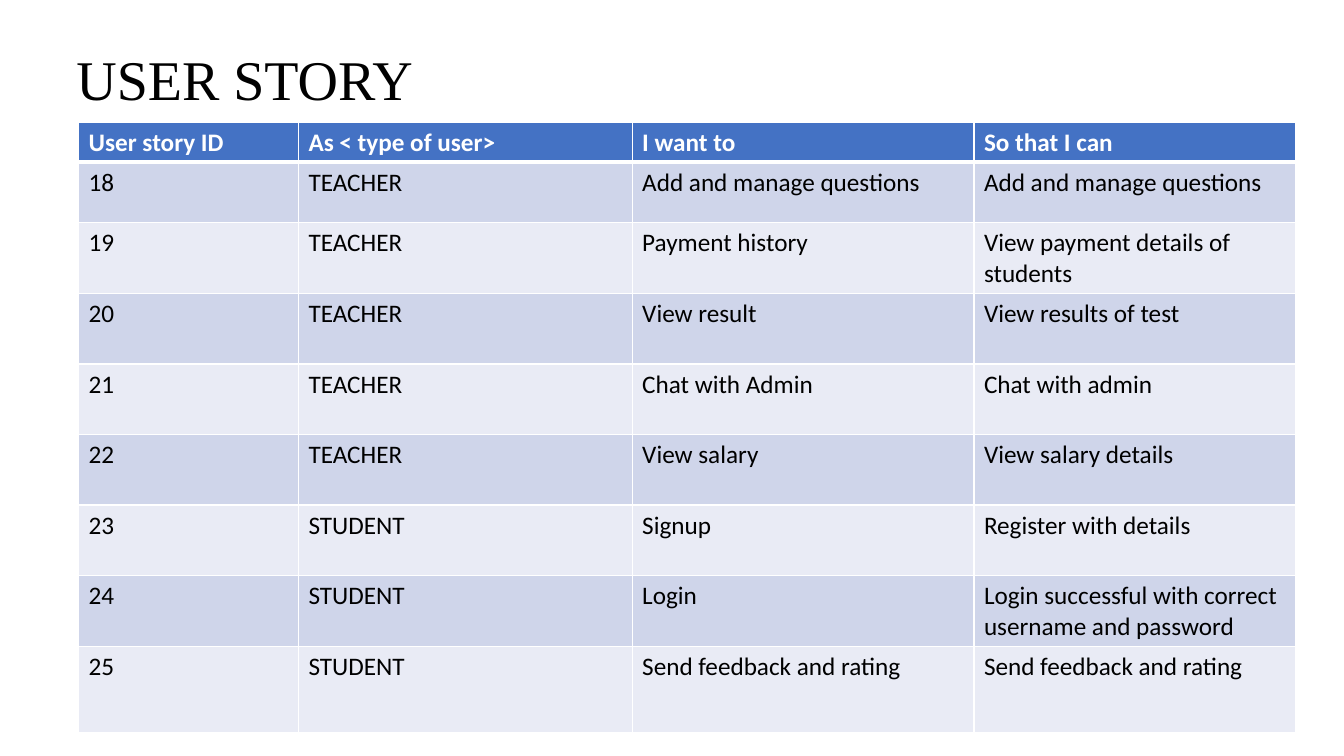
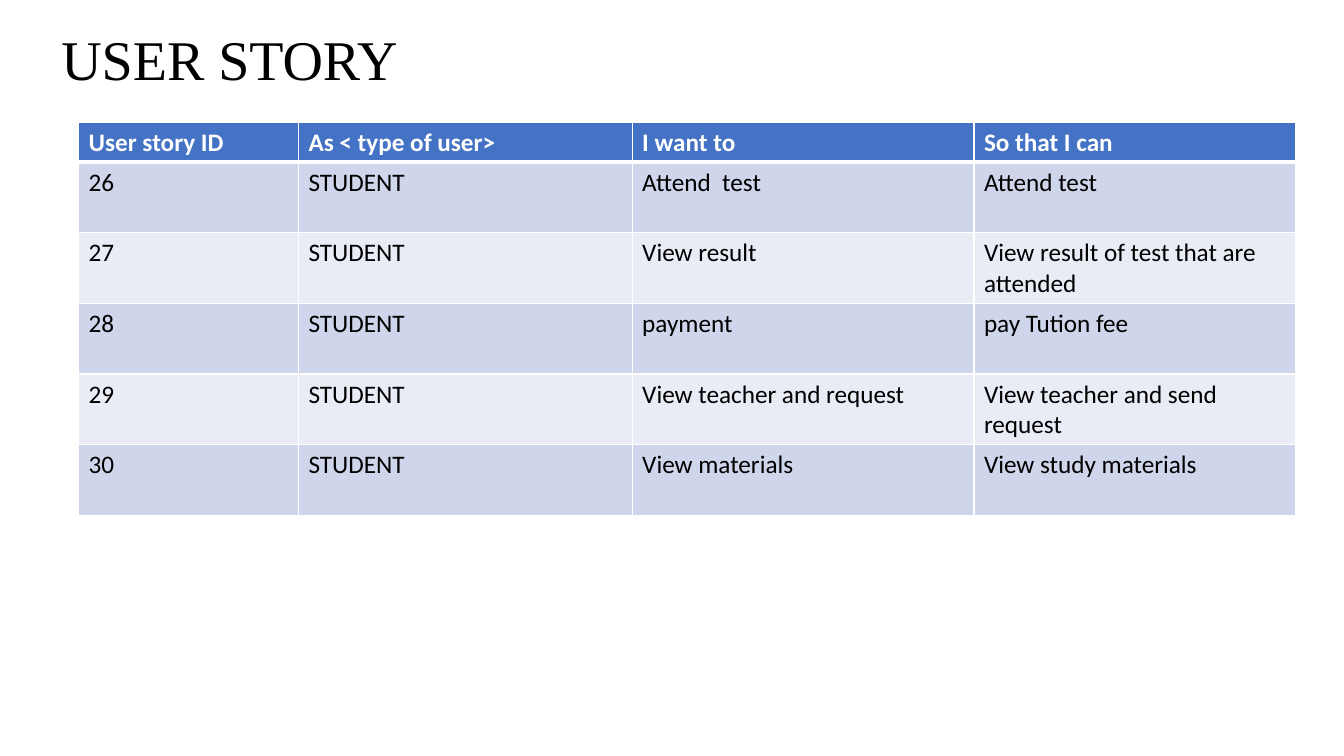
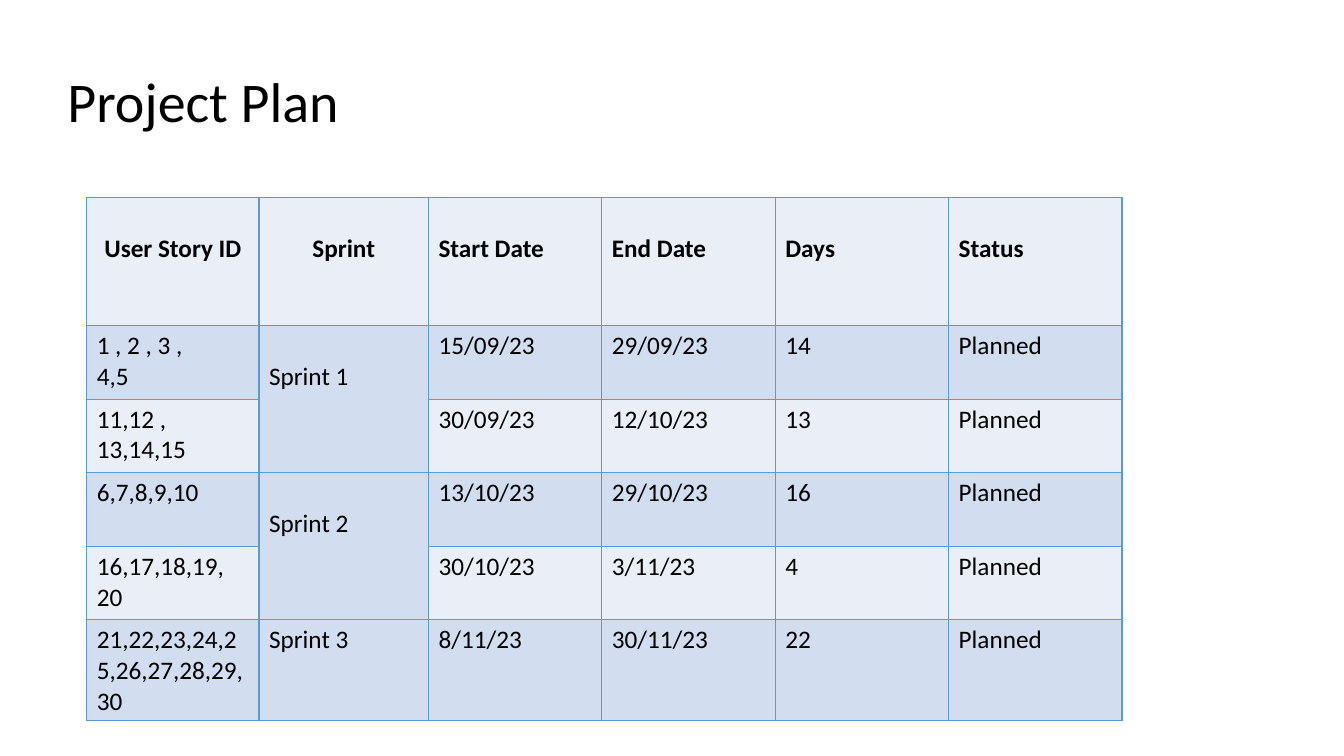
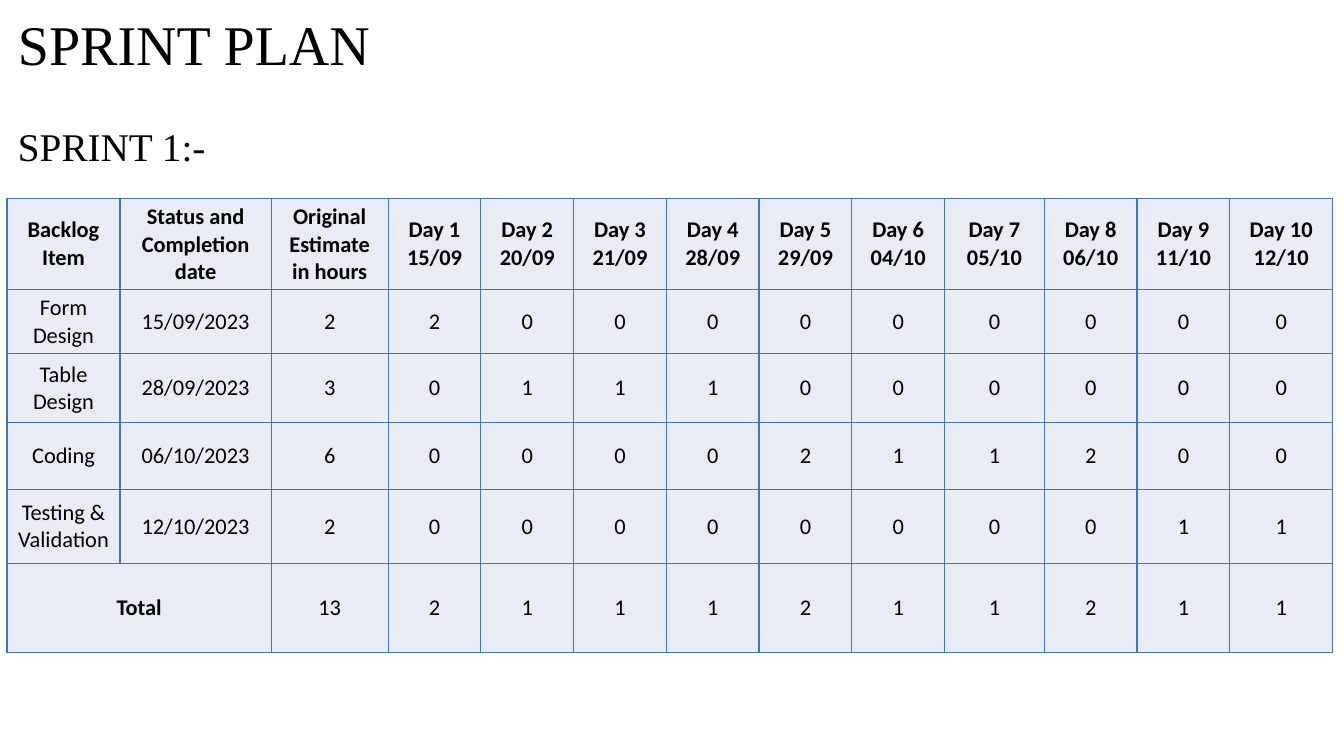
from dataclasses import dataclass
from itertools import product

from lxml.etree import SubElement
from pptx import Presentation
from pptx.dml.color import RGBColor
from pptx.enum.text import MSO_ANCHOR as Anchor, PP_ALIGN as Align
from pptx.oxml import parse_xml
from pptx.oxml.ns import nsdecls, qn
from pptx.slide import Slide
from pptx.table import _Cell as Cell
from pptx.util import Inches, Pt

COLORS = {
    "black": "000000",
    "white": "FFFFFF",
    "blue": "4472C4",
    "sky": "5B9BD5",
    "story_dark": "CFD5EA",
    "story_light": "E9EBF5",
    "plan_dark": "D2DEEF",
    "plan_light": "EAEFF7",
}
SERIF = "Times New Roman"
SANS = "Calibri"
TITLE_SIZE = 40
LINE_HEIGHT = 0.31
CELL_MARGIN = 0.05

Position = tuple[int, int]


@dataclass(frozen=True)
class Title:
    text: str
    left: float
    top: float
    width: float
    height: float = 0.77
    font: str = SERIF
    subtitle: str = ""


@dataclass(frozen=True)
class TableStyle:
    header_fill: str
    header_text: str
    bands: tuple[str, str]
    border: str
    header_rule: float = 1
    size: int = 18
    centered: bool = False


@dataclass(frozen=True)
class Grid:
    left: float
    top: float
    columns: list[float]
    heights: list[float]
    rows: list[list[str]]
    style: TableStyle
    spans: tuple[tuple[Position, Position], ...] = ()
    lowered: frozenset[Position] = frozenset()
    centered: frozenset[Position] = frozenset()
    bold: frozenset[Position] = frozenset()


@dataclass(frozen=True)
class Page:
    title: Title
    grid: Grid


STORY_STYLE = TableStyle("blue", "white", ("story_dark", "story_light"), "white", header_rule=3)
PLAN_STYLE = TableStyle("plan_light", "black", ("plan_dark", "plan_light"), "sky")
SPRINT_STYLE = TableStyle(
    "story_light", "black", ("story_light", "story_light"), "blue", size=16, centered=True
)


def color(name: str) -> RGBColor:
    return RGBColor.from_string(COLORS[name])


def add_title(slide: Slide, title: Title) -> None:
    box = slide.shapes.add_textbox(
        Inches(title.left), Inches(title.top), Inches(title.width), Inches(title.height)
    )
    frame = box.text_frame
    frame.word_wrap = True
    frame.text = title.text
    sizes = [TITLE_SIZE]
    if title.subtitle:
        para = frame.add_paragraph()
        para.text = title.subtitle
        para.space_before = Pt(32)
        sizes.append(28)
    for para, size in zip(frame.paragraphs, sizes):
        font = para.runs[0].font
        font.name = title.font
        font.size = Pt(size)
        font.color.rgb = color("black")


def set_borders(cell: Cell, name: str, top: float, bottom: float) -> None:
    properties = cell._tc.get_or_add_tcPr()
    widths = {"lnL": 1, "lnR": 1, "lnT": top, "lnB": bottom}
    for index, (tag, width) in enumerate(widths.items()):
        line = parse_xml(f'<a:{tag} {nsdecls("a")} w="{Pt(width)}"/>')
        fill = SubElement(line, qn("a:solidFill"))
        SubElement(fill, qn("a:srgbClr"), val=COLORS[name])
        properties.insert(index, line)


def format_cell(cell: Cell, grid: Grid, row: int, column: int) -> None:
    style = grid.style
    header = row == 0
    place = (row, column)
    cell.text_frame.text = grid.rows[row][column]
    cell.fill.solid()
    cell.fill.fore_color.rgb = color(style.header_fill if header else style.bands[(row - 1) % 2])
    set_borders(
        cell,
        style.border,
        top=style.header_rule if row == 1 else 1,
        bottom=style.header_rule if header else 1,
    )
    if style.centered:
        cell.vertical_anchor = Anchor.MIDDLE
    if place in grid.lowered:
        cell.margin_top = Inches(CELL_MARGIN + LINE_HEIGHT)
    for para in cell.text_frame.paragraphs:
        if style.centered or place in grid.centered:
            para.alignment = Align.CENTER
        for span in para.runs:
            span.font.name = SANS
            span.font.size = Pt(style.size)
            span.font.bold = header or place in grid.bold
            span.font.color.rgb = color(style.header_text if header else "black")


def add_grid(slide: Slide, grid: Grid) -> None:
    table = slide.shapes.add_table(
        len(grid.rows),
        len(grid.columns),
        Inches(grid.left),
        Inches(grid.top),
        Inches(sum(grid.columns)),
        Inches(sum(grid.heights)),
    ).table
    table.first_row = False
    table.horz_banding = False
    for column, width in zip(table.columns, grid.columns):
        column.width = Inches(width)
    for row, height in zip(table.rows, grid.heights):
        row.height = Inches(height)
    for row, column in product(range(len(grid.rows)), range(len(grid.columns))):
        format_cell(table.cell(row, column), grid, row, column)
    for first, last in grid.spans:
        table.cell(*first).merge(table.cell(*last))


def story_grid(heights: list[float], stories: list[list[str]]) -> Grid:
    header = ["User story ID", "As < type of user>", "I want to", "So that I can"]
    return Grid(
        0.78, 1.21, [2.18, 3.31, 3.39, 3.19], [0.4, *heights], [header, *stories], STORY_STYLE
    )


TEACHER_STORIES = [
    ["18", "TEACHER", "Add and manage questions", "Add and manage questions"],
    ["19", "TEACHER", "Payment history", "View payment details of students"],
    ["20", "TEACHER", "View result", "View results of test"],
    ["21", "TEACHER", "Chat with Admin", "Chat with admin"],
    ["22", "TEACHER", "View salary", "View salary details"],
    ["23", "STUDENT", "Signup", "Register with details"],
    ["24", "STUDENT", "Login", "Login successful with correct username and password"],
    ["25", "STUDENT", "Send feedback and rating", "Send feedback and rating"],
]

STUDENT_STORIES = [
    ["26", "STUDENT", "Attend  test", "Attend test"],
    ["27", "STUDENT", "View result", "View result of test that are attended"],
    ["28", "STUDENT", "payment", "pay Tution fee"],
    ["29", "STUDENT", "View teacher and request", "View teacher and send request"],
    ["30", "STUDENT", "View materials", "View study materials"],
]

PLAN_ROWS = [
    ["User Story ID", "Sprint", "Start Date", "End Date", "Days", "Status"],
    ["1 , 2 , 3 ,\n4,5", "Sprint 1", "15/09/23", "29/09/23", "14", "Planned"],
    ["11,12 , 13,14,15", "", "30/09/23", "12/10/23", "13", "Planned"],
    ["6,7,8,9,10", "Sprint 2", "13/10/23", "29/10/23", "16", "Planned"],
    ["16,17,18,19,\n20", "", "30/10/23", "3/11/23", "4", "Planned"],
    ["21,22,23,24,25,26,27,28,29,30", "Sprint 3", "8/11/23", "30/11/23", "22", "Planned"],
]

DATES = "15/09 20/09 21/09 28/09 29/09 04/10 05/10 06/10 11/10 12/10".split()
DAYS = [f"Day {number}\n{date}" for number, date in enumerate(DATES, 1)]
SPRINT_ROWS = [
    ["Backlog Item", "Status and\nCompletion date", "Original Estimate in hours", *DAYS],
    ["Form Design", "15/09/2023", "2", *"2000000000"],
    ["Table Design", "28/09/2023", "3", *"0111000000"],
    ["Coding", "06/10/2023", "6", *"0000211200"],
    ["Testing &\nValidation", "12/10/2023", "2", *"0000000011"],
    ["Total", "", "13", *"2111211211"],
]

PAGES = [
    Page(
        Title("USER STORY", 0.66, 0.39, 6.67),
        story_grid([0.6, *[0.7] * 6, 0.86], TEACHER_STORIES),
    ),
    Page(
        Title("USER STORY", 0.51, 0.19, 3.85),
        story_grid([0.7] * 5, STUDENT_STORIES),
    ),
    Page(
        Title("Project Plan", 0.57, 0.61, 6.67, font=SANS),
        Grid(
            0.86,
            1.96,
            [1.71, 1.68, *[1.72] * 4],
            [1.27, *[0.73] * 4, 1],
            PLAN_ROWS,
            PLAN_STYLE,
            spans=(((1, 1), (2, 1)), ((3, 1), (4, 1))),
            lowered=frozenset([*product([0], range(6)), (1, 1), (3, 1)]),
            centered=frozenset([(0, 0), (0, 1)]),
        ),
    ),
    Page(
        Title("SPRINT PLAN", 0.08, 0.05, 8.7, 1.72, subtitle="SPRINT 1:-"),
        Grid(
            0.07,
            1.97,
            [1.12, 1.5, 1.16, *[0.92] * 6, 0.99, 0.92, 0.92, 1.02],
            [0.9, 0.64, 0.68, 0.67, 0.73, 0.88],
            SPRINT_ROWS,
            SPRINT_STYLE,
            spans=(((5, 0), (5, 1)),),
            bold=frozenset([(5, 0)]),
        ),
    ),
]


def main() -> None:
    deck = Presentation()
    deck.slide_width = Inches(13.33)
    deck.slide_height = Inches(7.5)
    for page in PAGES:
        slide = deck.slides.add_slide(deck.slide_layouts[6])
        add_title(slide, page.title)
        add_grid(slide, page.grid)
    deck.save("out.pptx")


main()
